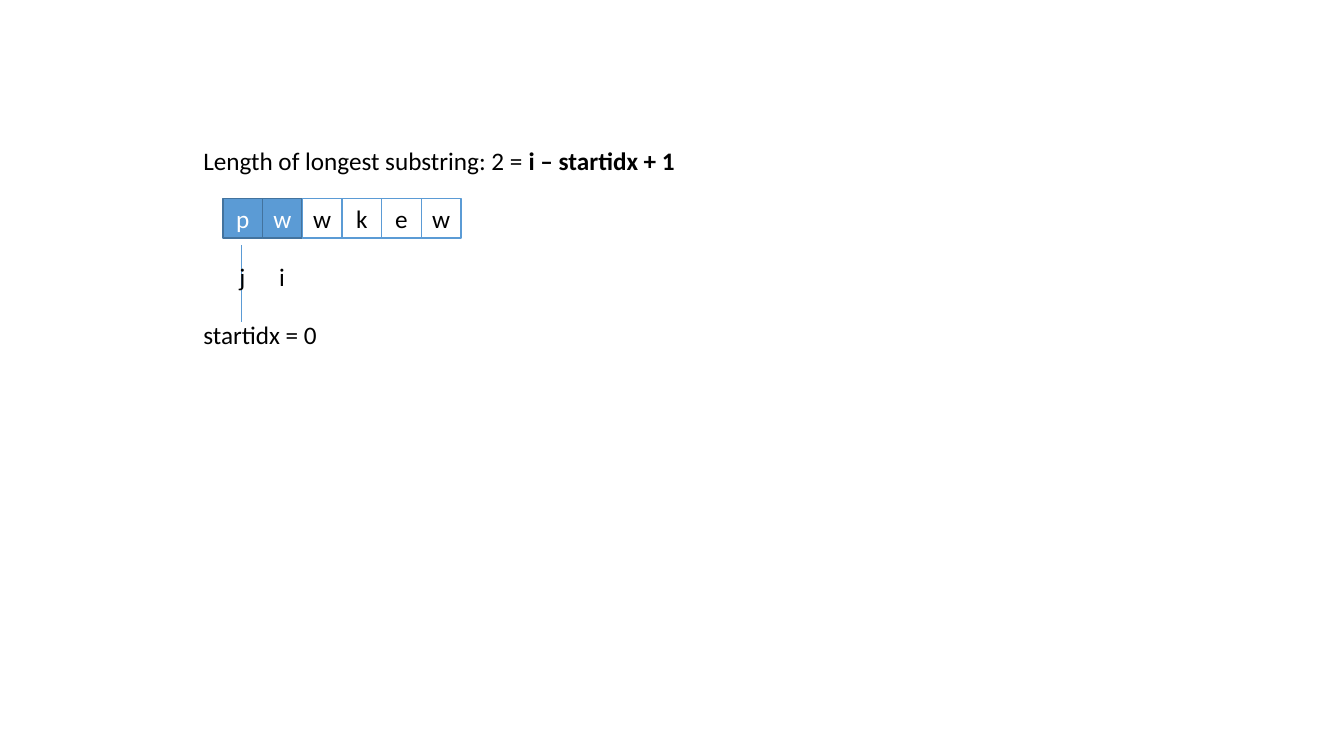
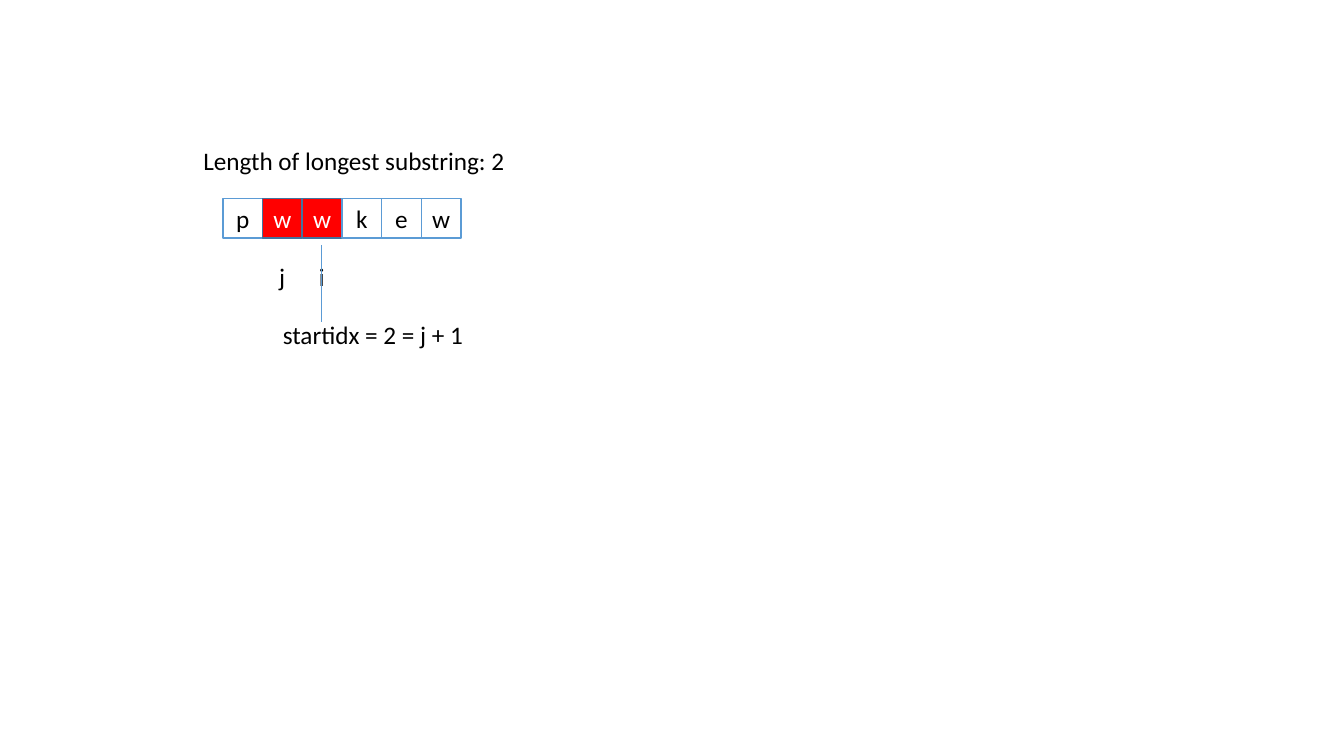
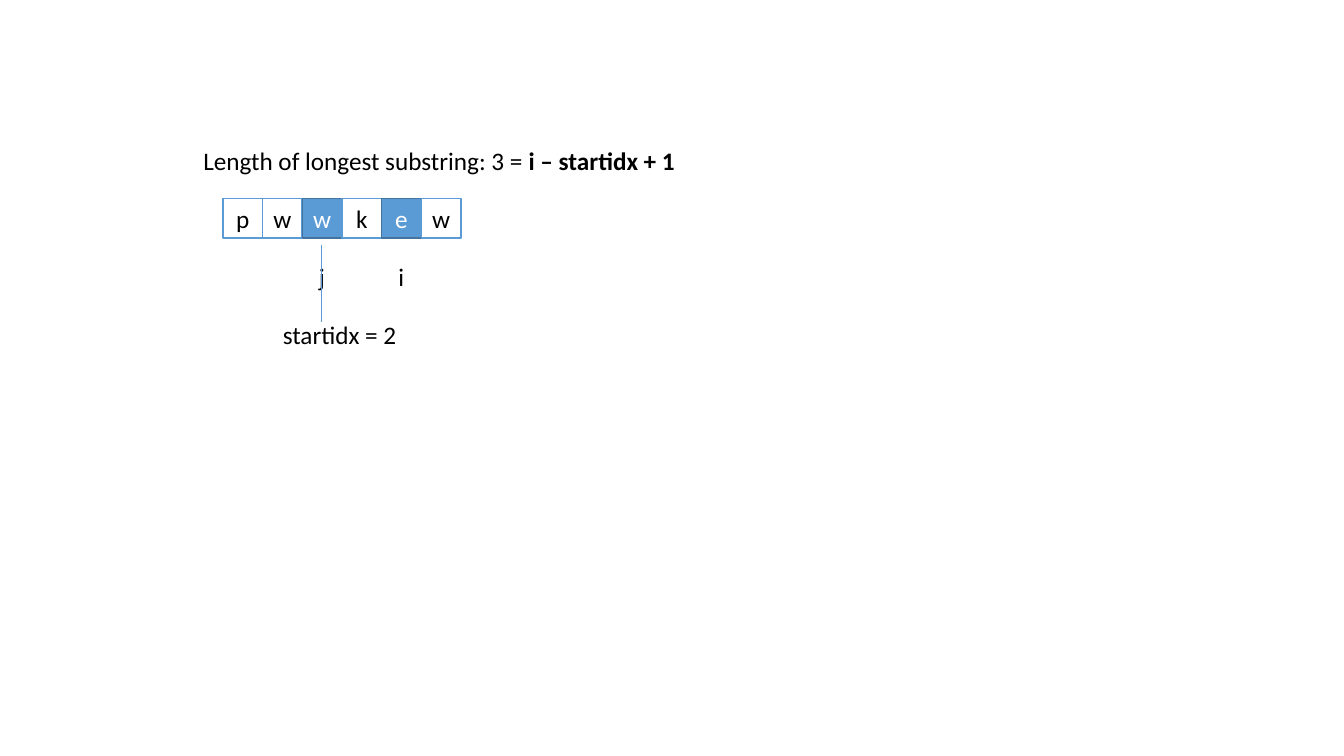
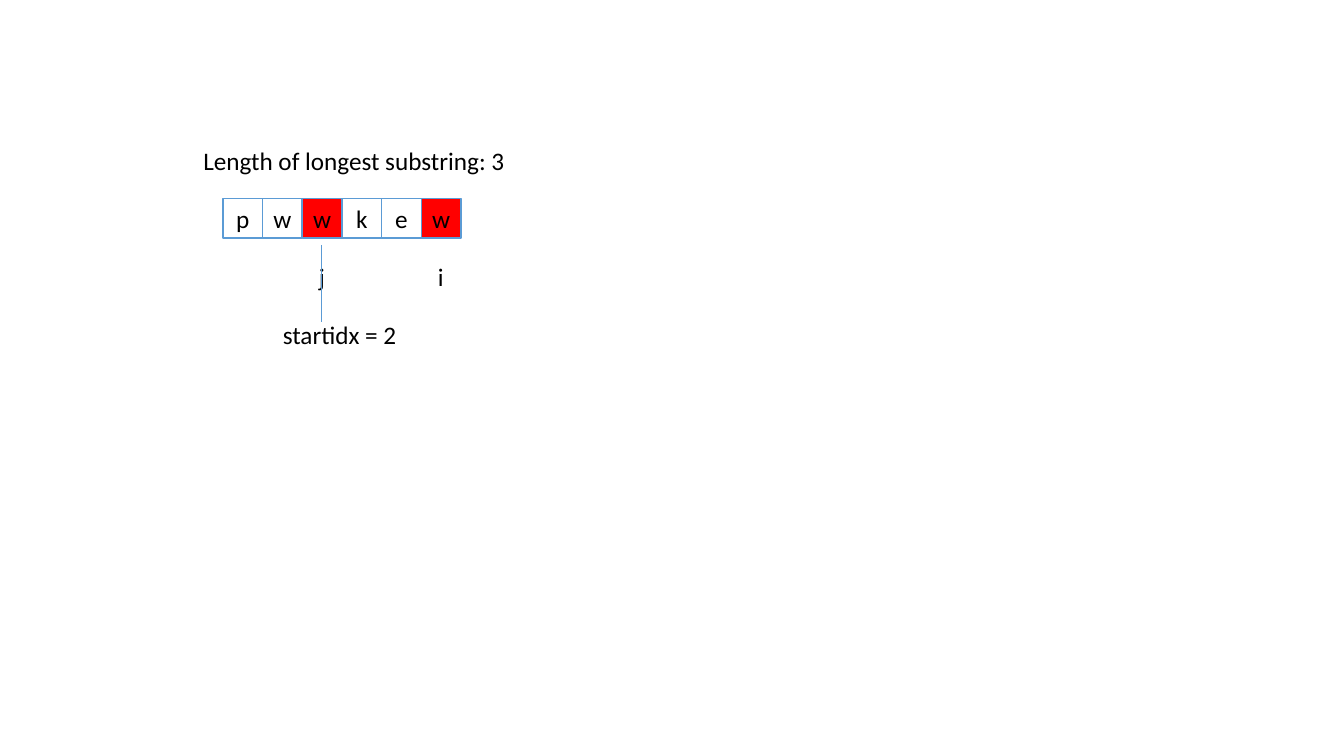
"""Build four slides that trace a sliding window over the string pwwkew."""
from dataclasses import dataclass

from lxml import etree
from pptx import Presentation
from pptx.dml.color import RGBColor
from pptx.enum.dml import MSO_THEME_COLOR
from pptx.enum.shapes import MSO_CONNECTOR, MSO_SHAPE
from pptx.enum.text import MSO_ANCHOR, MSO_AUTO_SIZE, PP_ALIGN
from pptx.oxml.ns import qn
from pptx.util import Pt

RECTANGLE = MSO_SHAPE.RECTANGLE
STRAIGHT = MSO_CONNECTOR.STRAIGHT
MIDDLE = MSO_ANCHOR.MIDDLE
CENTER = PP_ALIGN.CENTER
GROW = MSO_AUTO_SIZE.SHAPE_TO_FIT_TEXT

BLACK = RGBColor(0x00, 0x00, 0x00)
WHITE = RGBColor(0xFF, 0xFF, 0xFF)
BLUE = RGBColor(0x5B, 0x9B, 0xD5)
DARK_BLUE = RGBColor(0x43, 0x73, 0x9E)
RED = RGBColor(0xFF, 0x00, 0x00)
FONT = "Calibri"
FONT_SIZE = 18

PLAIN = (WHITE, BLUE, BLACK)
WINDOW = (BLUE, DARK_BLUE, WHITE)
REPEAT = (RED, DARK_BLUE, WHITE)
LATER_REPEAT = (RED, BLUE, BLACK)


@dataclass
class Step:
    length: str
    formula: str
    length_width: float
    start: int
    start_label: str
    start_width: float
    i: int
    j: int
    marked_style: tuple
    line_behind: bool = False


LETTERS = "pwwkew"
FORMULA = "i – startidx + 1"
STEPS = [
    Step("Length of longest substring: 2 = ", FORMULA, 356.4,
         0, "startidx = 0", 97.9, 1, 0, WINDOW, line_behind=True),
    Step("Length of longest substring: 2", "", 305.3,
         2, "startidx = 2 = j + 1", 146.2, 2, 1, REPEAT),
    Step("Length of longest substring: 3 = ", FORMULA, 356.4,
         2, "startidx = 2", 96.5, 4, 2, WINDOW),
    Step("Length of longest substring: 3", "", 356.4,
         2, "startidx = 2", 96.5, 5, 2, LATER_REPEAT),
]

SLIDE_WIDTH, SLIDE_HEIGHT = 960, 540
ROW_LEFT, ROW_TOP, CELL = 159.2, 141.8, 28.35
LABEL_LEFT, LABEL_HEIGHT = 138.2, 29.08
LENGTH_TOP, INDEX_TOP, START_TOP = 100.1, 182.9, 224.6
INDEX_WIDTH = 18.7
LINE_OFFSET, LINE_TOP, LINE_BOTTOM = 13.5, 175, 229.7


def format_span(span, color=BLACK, bold=False):
    span.font.name = FONT
    span.font.size = Pt(FONT_SIZE)
    span.font.bold = bold
    span.font.color.rgb = color


def add_label(page, left, top, width, text, bold_text="", wrap=False):
    box = page.shapes.add_textbox(Pt(left), Pt(top), Pt(width), Pt(LABEL_HEIGHT))
    box.text_frame.word_wrap = wrap
    box.text_frame.auto_size = GROW
    para = box.text_frame.paragraphs[0]
    para.text = text
    format_span(para.runs[0])
    if bold_text:
        span = para.add_run()
        span.text = bold_text
        format_span(span, bold=True)


def add_cell(page, position, letter, style):
    fill, outline, color = style
    cell = page.shapes.add_shape(RECTANGLE, Pt(ROW_LEFT + position * CELL),
                                 Pt(ROW_TOP), Pt(CELL), Pt(CELL))
    cell.shadow.inherit = False
    cell.fill.solid()
    cell.fill.fore_color.rgb = fill
    cell.line.color.rgb = outline
    cell.line.width = Pt(1)
    cell.text_frame.text = letter
    cell.text_frame.vertical_anchor = MIDDLE
    para = cell.text_frame.paragraphs[0]
    para.alignment = CENTER
    format_span(para.runs[0], color)


def add_start_line(page, start):
    x = Pt(ROW_LEFT + start * CELL + LINE_OFFSET)
    line = page.shapes.add_connector(STRAIGHT, x, Pt(LINE_TOP), x, Pt(LINE_BOTTOM))
    line.line.color.rgb = BLUE
    line.line.width = Pt(0.5)
    etree.SubElement(line._element.spPr, qn("a:effectLst"))


def add_index(page, name, position):
    left = ROW_LEFT + position * CELL + (CELL - INDEX_WIDTH) / 2
    add_label(page, left, INDEX_TOP, INDEX_WIDTH, name)


def add_step(page, step):
    if step.line_behind:
        add_start_line(page, step.start)
    for position, letter in enumerate(LETTERS):
        marked = position in (step.i, step.j)
        add_cell(page, position, letter, step.marked_style if marked else PLAIN)
    add_label(page, LABEL_LEFT, LENGTH_TOP, step.length_width,
              step.length, step.formula, wrap=True)
    add_index(page, "i", step.i)
    add_index(page, "j", step.j)
    add_label(page, LABEL_LEFT + step.start * CELL, START_TOP,
              step.start_width, step.start_label)
    if not step.line_behind:
        add_start_line(page, step.start)


deck = Presentation()
deck.slide_width, deck.slide_height = Pt(SLIDE_WIDTH), Pt(SLIDE_HEIGHT)
blank = deck.slide_layouts[6]
for step in STEPS:
    add_step(deck.slides.add_slide(blank), step)
deck.save("out.pptx")
